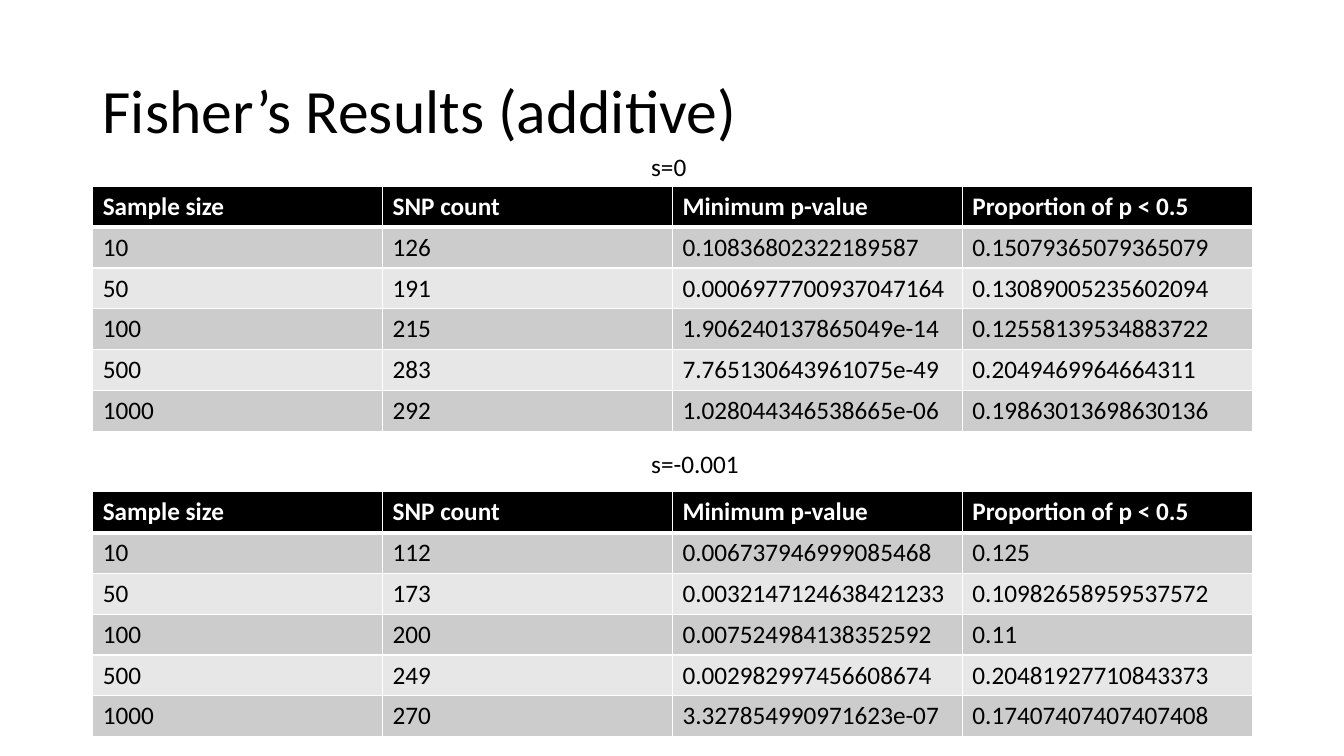
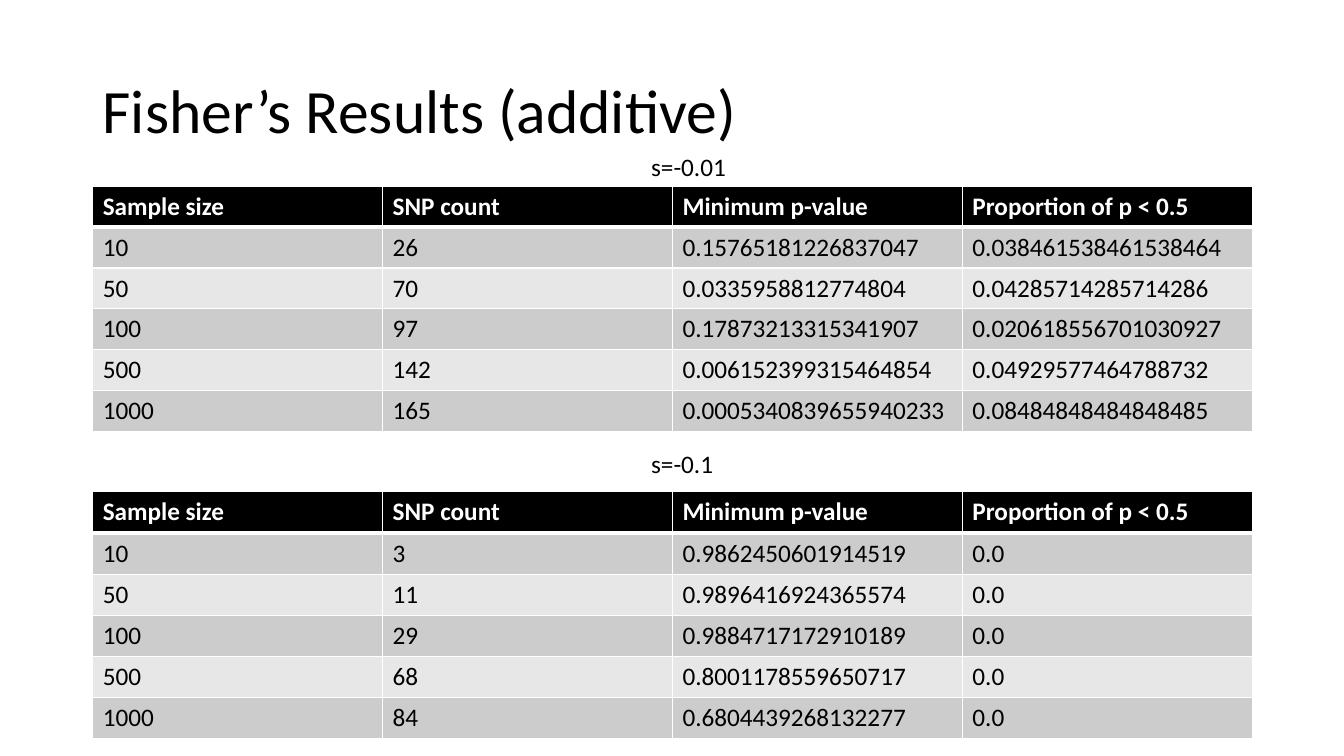
from lxml.etree import SubElement
from pptx import Presentation
from pptx.dml.color import RGBColor
from pptx.enum.text import MSO_ANCHOR
from pptx.oxml.ns import qn
from pptx.util import Inches, Pt

# Content
TITLE = "Fisher’s Results (additive)"
HEADER = ("Sample size", "SNP count", "Minimum p-value", "Proportion of p < 0.5")
SAMPLE_SIZES = ("10", "50", "100", "500", "1000")

# Each slide holds two results: caption, caption width, table height, rows
SLIDES = [
    [
        ("s=0", 1, 2.43, [
            ("126", "0.10836802322189587", "0.15079365079365079"),
            ("191", "0.0006977700937047164", "0.13089005235602094"),
            ("215", "1.906240137865049e-14", "0.12558139534883722"),
            ("283", "7.765130643961075e-49", "0.2049469964664311"),
            ("292", "1.028044346538665e-06", "0.19863013698630136"),
        ]),
        ("s=-0.001", 1.45, 2.43, [
            ("112", "0.006737946999085468", "0.125"),
            ("173", "0.0032147124638421233", "0.10982658959537572"),
            ("200", "0.007524984138352592", "0.11"),
            ("249", "0.002982997456608674", "0.20481927710843373"),
            ("270", "3.327854990971623e-07", "0.17407407407407408"),
        ]),
    ],
    [
        ("s=-0.01", 1, 2.43, [
            ("26", "0.15765181226837047", "0.038461538461538464"),
            ("70", "0.0335958812774804", "0.04285714285714286"),
            ("97", "0.17873213315341907", "0.020618556701030927"),
            ("142", "0.006152399315464854", "0.04929577464788732"),
            ("165", "0.0005340839655940233", "0.08484848484848485"),
        ]),
        ("s=-0.1", 1.2, 2.45, [
            ("3", "0.9862450601914519", "0.0"),
            ("11", "0.9896416924365574", "0.0"),
            ("29", "0.9884717172910189", "0.0"),
            ("68", "0.8001178559650717", "0.0"),
            ("84", "0.6804439268132277", "0.0"),
        ]),
    ],
]

# Shared style and layout, in inches
FONT = "Calibri"
BLACK, WHITE = "000000", "FFFFFF"
BANDS = ("CCCCCC", "E7E7E7")
LEFT, WIDTH = 0.92, 11.5
CAPTION_LEFT = 6.36
CAPTION_TOPS = (1.45, 4.4)
TABLE_TOPS = (1.85, 4.88)


def color(hex_string):
    return RGBColor.from_string(hex_string)


def write(frame, text, size=18, ink=BLACK, bold=False, spacing=None):
    paragraph = frame.paragraphs[0]
    paragraph.line_spacing = spacing
    run = paragraph.add_run()
    run.text = text
    run.font.name = FONT
    run.font.size = Pt(size)
    run.font.bold = bold
    run.font.color.rgb = color(ink)


def add_text(slide, text, left, top, width, height,
             anchor=MSO_ANCHOR.TOP, **style):
    frame = slide.shapes.add_textbox(
        Inches(left), Inches(top), Inches(width), Inches(height)).text_frame
    frame.word_wrap = True
    frame.vertical_anchor = anchor
    write(frame, text, **style)


def set_borders(cell, top=1, bottom=1):
    properties = cell._tc.get_or_add_tcPr()
    for side, points in (("L", 1), ("R", 1), ("T", top), ("B", bottom)):
        line = SubElement(properties, qn(f"a:ln{side}"), w=str(Pt(points)))
        SubElement(SubElement(line, qn("a:solidFill")),
                   qn("a:srgbClr"), val=WHITE)


def add_results(slide, top, height, results):
    rows = [HEADER] + [(size, *values)
                       for size, values in zip(SAMPLE_SIZES, results)]
    table = slide.shapes.add_table(
        len(rows), len(HEADER),
        Inches(LEFT), Inches(top), Inches(WIDTH), Inches(height)).table
    for r, row in enumerate(rows):
        is_header = r == 0
        for c, text in enumerate(row):
            cell = table.cell(r, c)
            # The rule under the header is thicker than the other borders
            set_borders(cell, top=3 if r == 1 else 1,
                        bottom=3 if is_header else 1)
            cell.fill.solid()
            cell.fill.fore_color.rgb = color(
                BLACK if is_header else BANDS[(r - 1) % 2])
            write(cell.text_frame, text, bold=is_header,
                  ink=WHITE if is_header else BLACK)


def main():
    deck = Presentation()
    deck.slide_width, deck.slide_height = Inches(13.33), Inches(7.5)
    for sections in SLIDES:
        slide = deck.slides.add_slide(deck.slide_layouts[6])
        add_text(slide, TITLE, LEFT, 0.4, WIDTH, 1.45,
                 anchor=MSO_ANCHOR.MIDDLE, size=44, spacing=0.9)
        for section, caption_top, table_top in zip(
                sections, CAPTION_TOPS, TABLE_TOPS):
            caption, caption_width, table_height, results = section
            add_results(slide, table_top, table_height, results)
            add_text(slide, caption, CAPTION_LEFT, caption_top,
                     caption_width, 0.4)
    deck.save("out.pptx")


if __name__ == "__main__":
    main()
